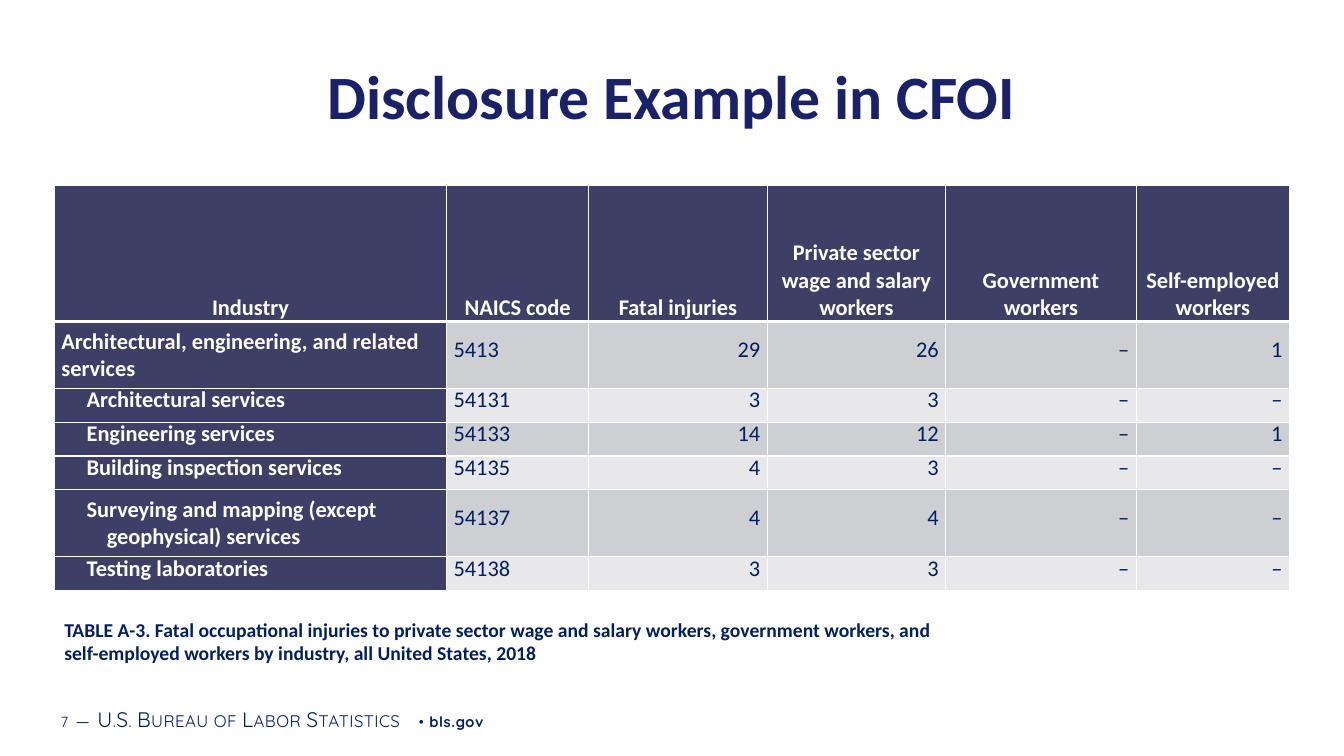
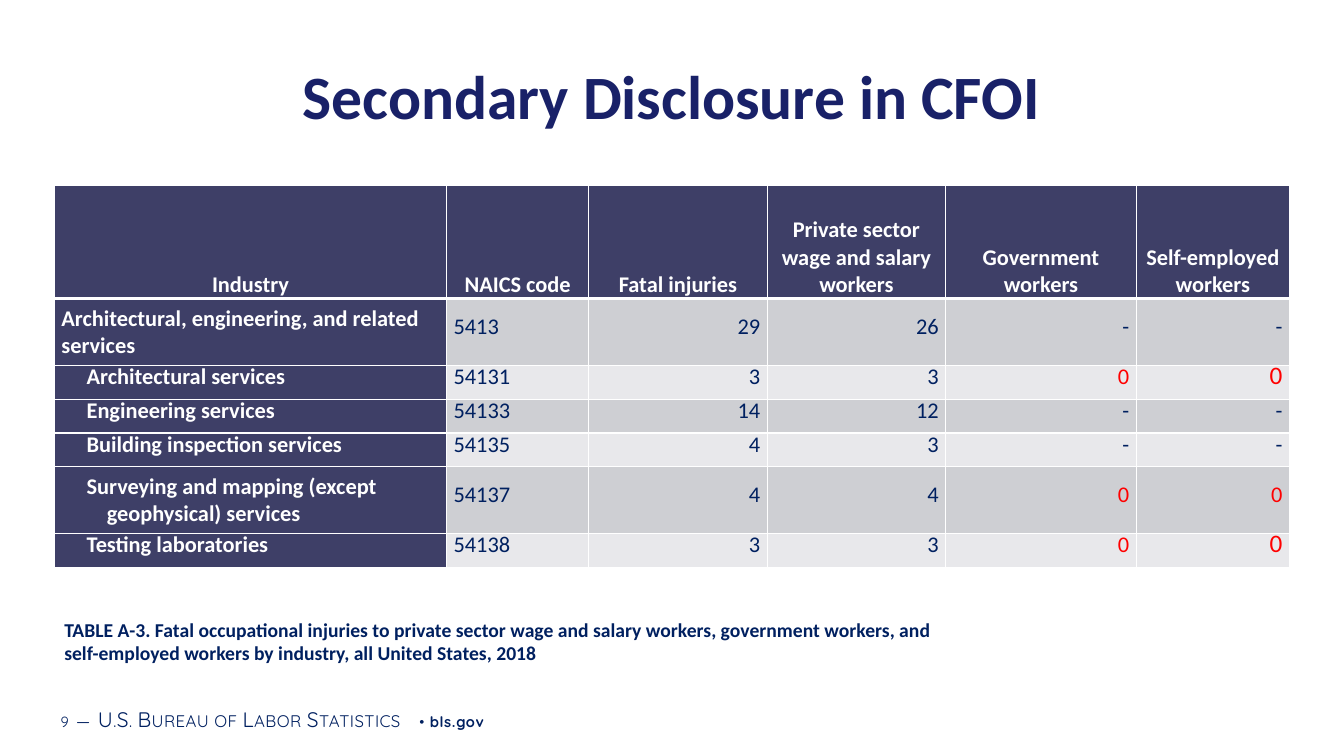
from lxml import etree
from pptx import Presentation
from pptx import util as u
from pptx.dml import color as dml
from pptx.enum import text as t
from pptx.oxml import ns

NAVY, TITLE_BLUE, SLATE, WHITE, RED = "002060", "192168", "3E3F67", "FFFFFF", "FF0000"
STRIPES = ["CECFD3", "E8E8EB"]
LEFT, CENTER, RIGHT = t.PP_ALIGN.LEFT, t.PP_ALIGN.CENTER, t.PP_ALIGN.RIGHT
MIDDLE, BOTTOM = t.MSO_ANCHOR.MIDDLE, t.MSO_ANCHOR.BOTTOM

presentation = Presentation()
presentation.slide_width = u.Inches(13.33)
presentation.slide_height = u.Inches(7.5)
column = presentation.slide_width / 100
row = presentation.slide_height / 100


def rgb(value):
    return dml.RGBColor.from_string(value)


def write(frame, paragraphs, size=16, color=NAVY, font="Calibri", bold=False, align=LEFT,
          leading=None, indents=(), anchor=MIDDLE, margins=(0.1, 0.05)):
    frame.word_wrap = True
    frame.vertical_anchor = anchor
    frame.margin_left = frame.margin_right = u.Inches(margins[0])
    frame.margin_top = frame.margin_bottom = u.Inches(margins[1])
    for index, runs in enumerate(paragraphs):
        paragraph = frame.paragraphs[0] if index == 0 else frame.add_paragraph()
        paragraph.alignment = align
        if leading:
            paragraph.line_spacing = u.Pt(leading)
        if indents:
            paragraph._p.get_or_add_pPr().set("marL", str(u.Inches(indents[index])))
        for content, style in [(runs, {})] if isinstance(runs, str) else runs:
            run = paragraph.add_run()
            run.text = content
            run.font.name = font
            run.font.size = u.Pt(style.get("size", size))
            run.font.bold = style.get("bold", bold)
            run.font.color.rgb = rgb(color)
            for name, value in style.get("attributes", {}).items():
                run._r.get_or_add_rPr().set(name, value)


WIDE = {"spc": "50"}
SMALL_CAPS = {"spc": "30", "cap": "small"}
CAPTION = [
    "TABLE A-3. Fatal occupational injuries to private sector wage and salary workers, government workers, and",
    "self-employed workers by industry, all United States, 2018",
]
HEADERS = ["Industry", "NAICS code", "Fatal injuries", "Private sector wage and salary workers",
           "Government workers", "Self-employed workers"]
INDUSTRIES = [
    (["Architectural, engineering, and related services"], [0], "5413", "29", "26"),
    (["Architectural services"], [0.25], "54131", "3", "3"),
    (["Engineering services"], [0.25], "54133", "14", "12"),
    (["Building inspection services"], [0.25], "54135", "4", "3"),
    (["Surveying and mapping (except", "geophysical) services"], [0.25, 0.45], "54137", "4", "4"),
    (["Testing laboratories"], [0.25], "54138", "3", "3"),
]
COLUMN_WIDTHS = [29.18, 10.58, 13.28, 13.28, 14.18, 11.4]
TALL, SHORT = 8.9, 4.45
ROW_HEIGHTS = [TALL, SHORT, SHORT, SHORT, TALL, SHORT]
SLIDES = [
    ("7", "Disclosure Example in CFOI", 18, ["––", "––", "––", "––", "––", "––"], {0: "1", 2: "1"}),
    ("9", "Secondary Disclosure in CFOI", 14.95, ["--", "00", "--", "--", "00", "00"], {}),
]

for number, title, header_height, hidden_counts, self_employed in SLIDES:
    slide = presentation.slides.add_slide(presentation.slide_layouts[6])

    footer = [
        (number, {"attributes": WIDE}),
        (" ", {"size": 16, "attributes": WIDE}),
        ("—", {"size": 15, "attributes": SMALL_CAPS}),
        (" ", {"size": 16, "attributes": WIDE}),
        ("U.S. Bureau of Labor Statistics", {"size": 15, "attributes": SMALL_CAPS}),
        (" • ", {"attributes": WIDE}),
        ("bls.gov", {"bold": True, "attributes": WIDE}),
    ]
    for box, paragraphs, style in [
        ((3.98, 92.4, 63.54, 5.33), [footer],
         {"size": 10.5, "font": "Quicksand", "margins": (0.07, 0.04)}),
        ((4.05, 6.67, 91.9, 11.73), [title],
         {"size": 44, "color": TITLE_BLUE, "bold": True, "align": CENTER}),
        ((4.05, 78.13, 88.45, 13.33), CAPTION, {"size": 14, "bold": True}),
    ]:
        left, top, width, height = box
        shape = slide.shapes.add_textbox(
            int(left * column), int(top * row), int(width * column), int(height * row))
        write(shape.text_frame, paragraphs, **style)

    heights = [header_height] + ROW_HEIGHTS
    table = slide.shapes.add_table(
        len(heights), len(COLUMN_WIDTHS), int(4.05 * column), int(24.53 * row),
        int(sum(COLUMN_WIDTHS) * column), int(sum(heights) * row)).table
    for table_column, width in zip(table.columns, COLUMN_WIDTHS):
        table_column.width = int(width * column)
    for table_row, height in zip(table.rows, heights):
        table_row.height = int(height * row)

    records = [HEADERS]
    for index, (label, indents, code, injuries, private) in enumerate(INDUSTRIES):
        government, own = hidden_counts[index]
        records.append([label, code, injuries, private, government, self_employed.get(index, own)])

    for row_index, record in enumerate(records):
        for column_index, content in enumerate(record):
            cell = table.cell(row_index, column_index)
            header = row_index == 0
            style = {"margins": (0.07, 0), "leading": 12}
            fill = SLATE
            if header:
                style.update(color=WHITE, bold=True, align=CENTER, anchor=BOTTOM)
                if column_index > 1:
                    style["leading"] = None
            elif column_index == 0:
                style.update(color=WHITE, bold=True, indents=INDUSTRIES[row_index - 1][1])
                if heights[row_index] == TALL:
                    style["leading"] = None
            else:
                fill = STRIPES[(row_index - 1) % 2]
                style["align"] = LEFT if column_index == 1 else RIGHT
                if content == "0":
                    style["color"] = RED
                    if column_index == 5 and heights[row_index] == SHORT:
                        style["size"] = 18
            write(cell.text_frame, content if isinstance(content, list) else [content], **style)
            cell.vertical_anchor = style.get("anchor", MIDDLE)
            cell.margin_left = cell.margin_right = u.Inches(0.07)
            cell.margin_top = cell.margin_bottom = 0
            cell.fill.solid()
            cell.fill.fore_color.rgb = rgb(fill)

            properties = cell._tc.get_or_add_tcPr()
            for position, side in enumerate(["lnL", "lnR", "lnT", "lnB"]):
                thick = (row_index, side) in [(0, "lnB"), (1, "lnT")]
                line = etree.Element(ns.qn("a:" + side), w=str(u.Pt(3 if thick else 1)))
                solid = etree.SubElement(line, ns.qn("a:solidFill"))
                etree.SubElement(solid, ns.qn("a:srgbClr"), val=WHITE)
                properties.insert(position, line)

presentation.save("out.pptx")
